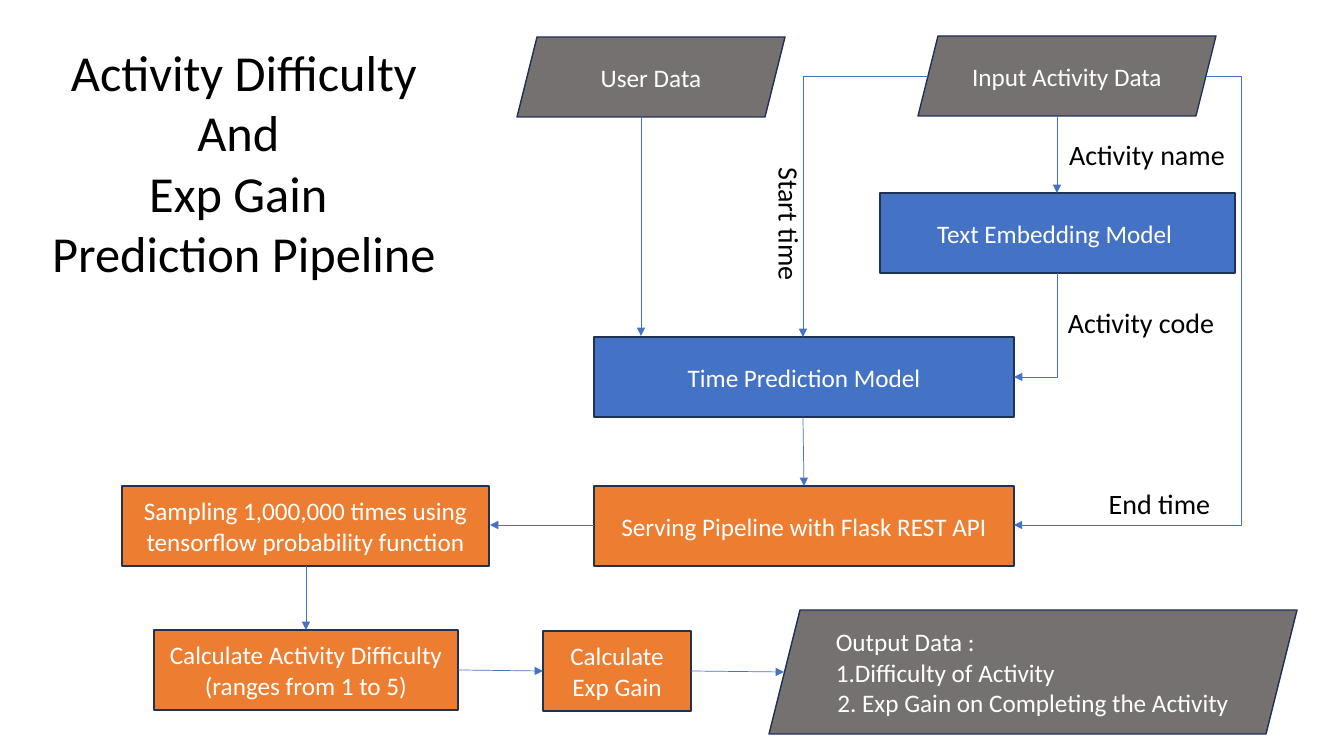
from pptx import Presentation
from pptx.dml.color import RGBColor
from pptx.enum.shapes import MSO_CONNECTOR, MSO_SHAPE
from pptx.enum.text import MSO_ANCHOR, MSO_AUTO_SIZE, PP_ALIGN
from pptx.oxml.ns import qn
from pptx.util import Pt
from lxml import etree

PIXEL = 914400 / 100.8
RECTANGLE, PARALLELOGRAM = MSO_SHAPE.RECTANGLE, MSO_SHAPE.PARALLELOGRAM
STRAIGHT, ELBOW = MSO_CONNECTOR.STRAIGHT, MSO_CONNECTOR.ELBOW
CENTER, JUSTIFY = PP_ALIGN.CENTER, PP_ALIGN.JUSTIFY
MIDDLE, FIT_SHAPE = MSO_ANCHOR.MIDDLE, MSO_AUTO_SIZE.SHAPE_TO_FIT_TEXT

BLUE = RGBColor(0x44, 0x72, 0xC4)
ORANGE = RGBColor(0xED, 0x7D, 0x31)
GRAY = RGBColor(0x76, 0x71, 0x71)
NAVY = RGBColor(0x1E, 0x32, 0x56)
WHITE = RGBColor(0xFF, 0xFF, 0xFF)
BLACK = RGBColor(0x00, 0x00, 0x00)


def emu(*pixels):
    """Turn pixel lengths into EMU."""
    return [round(pixel * PIXEL) for pixel in pixels]


def write_lines(frame, lines, size, color):
    """Write each line as a centred paragraph of the text frame."""
    for index, line in enumerate(lines):
        paragraph = frame.add_paragraph() if index else frame.paragraphs[0]
        paragraph.alignment = CENTER
        run = paragraph.add_run()
        run.text = line
        for name, value in {"name": "Calibri", "size": Pt(size)}.items():
            setattr(run.font, name, value)
        run.font.color.rgb = color


presentation = Presentation()
presentation.slide_width, presentation.slide_height = emu(1344, 756)
slide = presentation.slides.add_slide(presentation.slide_layouts[6])

# Pipeline steps: kind, fill, left, top, width, height, lines
steps = [
    (RECTANGLE, BLUE, 880, 193, 355, 80, ["Text Embedding Model "]),
    (PARALLELOGRAM, GRAY, 918, 36, 298, 80, ["Input Activity Data"]),
    (RECTANGLE, BLUE, 594, 337, 420, 80, ["Time Prediction Model"]),
    (RECTANGLE, ORANGE, 594, 486, 420, 80, ["Serving Pipeline with Flask REST API"]),
    (PARALLELOGRAM, GRAY, 517, 37, 268, 80, ["User Data"]),
    (RECTANGLE, ORANGE, 122, 486, 367, 80,
     ["Sampling 1,000,000 times using tensorflow probability function"]),
    (RECTANGLE, ORANGE, 154, 630, 304, 80,
     ["Calculate Activity Difficulty (ranges from 1 to 5)"]),
    (RECTANGLE, ORANGE, 543, 631, 148, 80, ["Calculate Exp Gain"]),
    (PARALLELOGRAM, GRAY, 769, 610, 528, 124,
     ["Output Data :", "1.Difficulty of Activity",
      "2. Exp Gain on Completing the Activity"]),
]
for kind, fill, left, top, width, height, lines in steps:
    step = slide.shapes.add_shape(kind, *emu(left, top, width, height))
    step.shadow.inherit = False
    step.fill.solid()
    step.fill.fore_color.rgb = fill
    step.line.color.rgb = NAVY
    step.line.width = Pt(1)
    step.text_frame.word_wrap = True
    step.text_frame.vertical_anchor = MIDDLE
    write_lines(step.text_frame, lines, 18, WHITE)
    for paragraph in step.text_frame.paragraphs[:-1]:
        paragraph.alignment = JUSTIFY

# Arrows: kind, preset, arrow end, start x, start y, end x, end y
arrows = [
    (STRAIGHT, "line", "tailEnd", 1057, 116, 1057, 193),
    (STRAIGHT, "line", "tailEnd", 641, 117, 641, 336),
    (STRAIGHT, "line", "tailEnd", 803, 417, 804, 486),
    (STRAIGHT, "line", "tailEnd", 306, 566, 306, 630),
    (STRAIGHT, "line", "tailEnd", 594, 525, 490, 525),
    (STRAIGHT, "line", "tailEnd", 458, 670, 543, 671),
    (STRAIGHT, "line", "tailEnd", 691, 671, 784, 672),
    (ELBOW, "bentConnector2", "headEnd", 1014, 377, 1057, 273),
    (ELBOW, "bentConnector2", "tailEnd", 928, 76, 803, 337),
    (ELBOW, "bentConnector3", "tailEnd", 1206, 76, 1014, 525),
]
for kind, preset, arrow_end, *ends in arrows:
    arrow = slide.shapes.add_connector(kind, *emu(*ends))
    arrow.line.color.rgb = BLUE
    arrow.line.width = Pt(0.5)
    properties = arrow.element.spPr
    geometry = properties.find(qn("a:prstGeom"))
    geometry.set("prst", preset)
    if preset == "bentConnector3":
        guide = etree.SubElement(geometry.find(qn("a:avLst")), qn("a:gd"))
        guide.set("name", "adj1")
        guide.set("fmla", "val -18300")
    line = properties.find(qn("a:ln"))
    etree.SubElement(line, qn(f"a:{arrow_end}")).set("type", "triangle")
    etree.SubElement(properties, qn("a:effectLst"))

# Labels: left, top, width, height, rotation, size, lines
labels = [
    (40, 36, 408, 254, 0, 36,
     ["Activity Difficulty", "And ", "Exp Gain ", "Prediction Pipeline"]),
    (1058, 133, 178, 44, 0, 20, ["Activity name"]),
    (1057, 301, 168, 44, 0, 20, ["Activity code"]),
    (722, 202, 135, 44, 90, 20, ["Start time"]),
    (1098, 482, 123, 44, 0, 20, ["End time"]),
]
for left, top, width, height, rotation, size, lines in labels:
    label = slide.shapes.add_textbox(*emu(left, top, width, height))
    label.rotation = rotation
    label.text_frame.word_wrap = False
    label.text_frame.auto_size = FIT_SHAPE
    write_lines(label.text_frame, lines, size, BLACK)

presentation.save("out.pptx")
